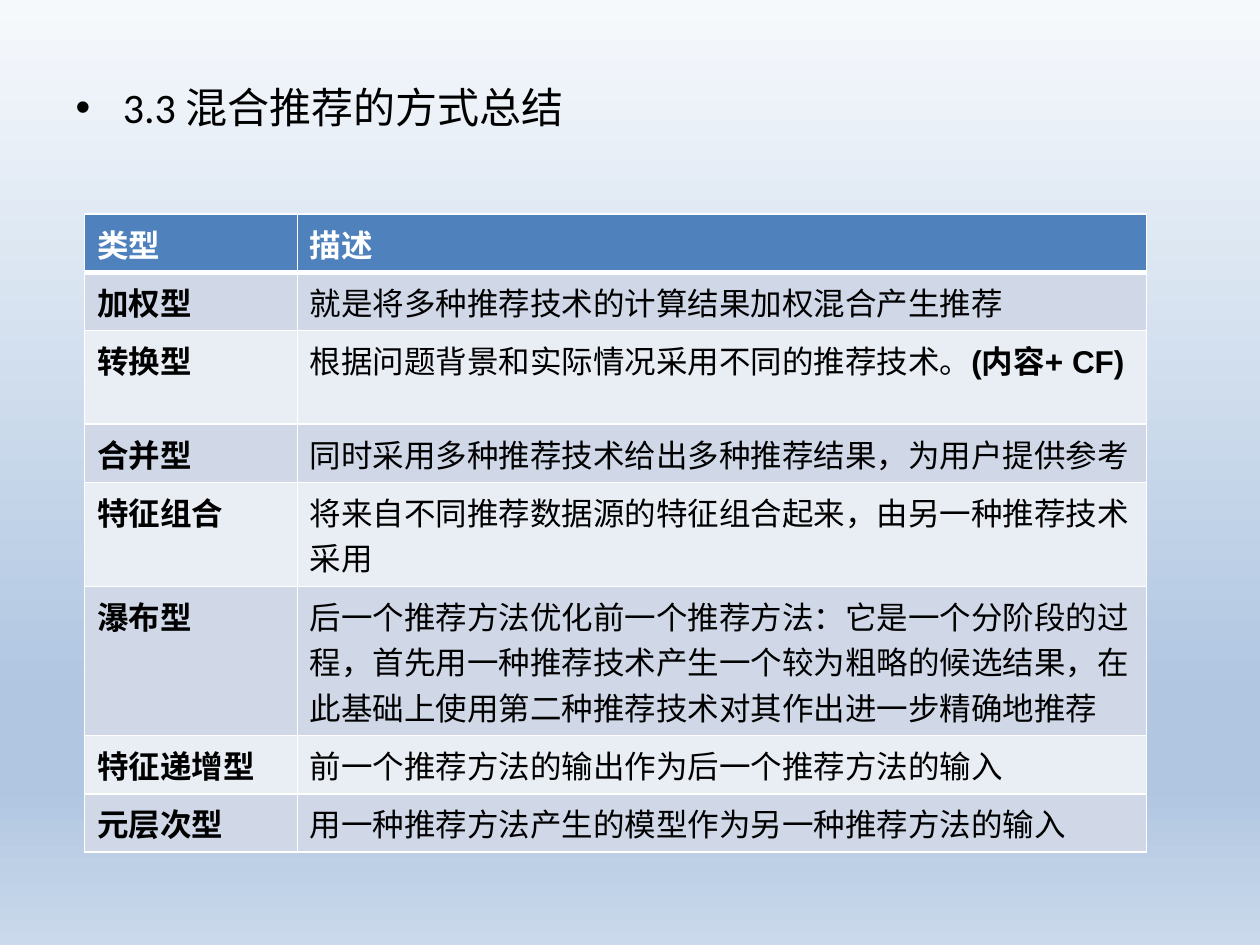
"""Build the slide that sums up the ways of hybrid recommendation."""
import pptx
import pptx.dml.color
import pptx.oxml
import pptx.oxml.ns
import pptx.util

Inches = pptx.util.Inches
Pt = pptx.util.Pt
RGBColor = pptx.dml.color.RGBColor

BLACK = RGBColor(0x00, 0x00, 0x00)
WHITE = RGBColor(0xFF, 0xFF, 0xFF)
HEADER_BLUE = RGBColor(0x4F, 0x81, 0xBD)
BAND_DARK = RGBColor(0xD0, 0xD8, 0xE8)
BAND_LIGHT = RGBColor(0xE9, 0xED, 0xF4)
SKY_TOP = RGBColor(0xF6, 0xF9, 0xFC)
SKY_MIDDLE = RGBColor(0xB0, 0xC6, 0xE1)
SKY_BOTTOM = RGBColor(0xCA, 0xD9, 0xEB)

BACKGROUND_STOPS = [(0, SKY_TOP), (74, SKY_MIDDLE), (83, SKY_MIDDLE), (100, SKY_BOTTOM)]
HEADING = "3.3 混合推荐的方式总结"
COLUMN_WIDTHS = [1.69, 6.74]
ROWS = [
    (0.41, "类型", "描述", ""),
    (0.41, "加权型", "就是将多种推荐技术的计算结果加权混合产生推荐", ""),
    (0.36, "转换型", "根据问题背景和实际情况采用不同的推荐技术。", "(内容+ CF)"),
    (0.44, "合并型", "同时采用多种推荐技术给出多种推荐结果，为用户提供参考", ""),
    (0.70, "特征组合", "将来自不同推荐数据源的特征组合起来，由另一种推荐技术采用", ""),
    (1.03, "瀑布型", "后一个推荐方法优化前一个推荐方法：它是一个分阶段的过程，"
     "首先用一种推荐技术产生一个较为粗略的候选结果，"
     "在此基础上使用第二种推荐技术对其作出进一步精确地推荐", ""),
    (0.41, "特征递增型", "前一个推荐方法的输出作为后一个推荐方法的输入", ""),
    (0.41, "元层次型", "用一种推荐方法产生的模型作为另一种推荐方法的输入", ""),
]


def paint_background(slide):
    fill = slide.background.fill
    fill.gradient()
    fill.gradient_angle = 270
    stop_list = next(slide.element.iter(pptx.oxml.ns.qn("a:gsLst")))
    for stop in list(stop_list):
        stop_list.remove(stop)
    for position, color in BACKGROUND_STOPS:
        stop_list.append(pptx.oxml.parse_xml(
            f'<a:gs {pptx.oxml.ns.nsdecls("a")} pos="{position * 1000}">'
            f'<a:srgbClr val="{color}"/></a:gs>'))


def format_run(run, size, font_name, color, bold=False):
    run.font.size = Pt(size)
    run.font.name = font_name
    run.font.color.rgb = color
    run.font.bold = bold


def set_borders(cell, top, bottom):
    properties = cell._tc.get_or_add_tcPr()
    widths = {"lnL": 1, "lnR": 1, "lnT": top, "lnB": bottom}
    for index, (tag, width) in enumerate(widths.items()):
        properties.insert(index, pptx.oxml.parse_xml(
            f'<a:{tag} {pptx.oxml.ns.nsdecls("a")} w="{Pt(width)}">'
            f'<a:solidFill><a:srgbClr val="{WHITE}"/></a:solidFill></a:{tag}>'))


def add_heading(slide):
    slide.shapes.title.element.getparent().remove(slide.shapes.title.element)
    body = slide.placeholders[1]
    body.left, body.top, body.width, body.height = map(Inches, (0.5, 0.6, 9, 6.1))
    body.text_frame.text = HEADING
    format_run(body.text_frame.paragraphs[0].runs[0], 24, "Calibri", BLACK)


def add_summary_table(slide):
    table = slide.shapes.add_table(
        len(ROWS), len(COLUMN_WIDTHS), Inches(0.67), Inches(1.7),
        Inches(sum(COLUMN_WIDTHS)), Inches(sum(row[0] for row in ROWS))).table
    for column, width in zip(table.columns, COLUMN_WIDTHS):
        column.width = Inches(width)
    for index, (height, kind, description, example) in enumerate(ROWS):
        table.rows[index].height = Inches(height)
        is_header = index == 0
        fill_color = HEADER_BLUE if is_header else (BAND_LIGHT, BAND_DARK)[index % 2]
        cell_runs = [[(kind, True)], [(description, is_header), (example, True)]]
        for cell, runs in zip(table.rows[index].cells, cell_runs):
            cell.fill.solid()
            cell.fill.fore_color.rgb = fill_color
            set_borders(cell, 3 if index == 1 else 1, 3 if is_header else 1)
            paragraph = cell.text_frame.paragraphs[0]
            for text, bold in runs:
                if text:
                    run = paragraph.add_run()
                    run.text = text
                    format_run(run, 18, "Arial", WHITE if is_header else BLACK, bold)


def main():
    presentation = pptx.Presentation()
    presentation.slide_width = Inches(10)
    presentation.slide_height = Inches(7.5)
    slide = presentation.slides.add_slide(presentation.slide_layouts[1])
    paint_background(slide)
    add_heading(slide)
    add_summary_table(slide)
    presentation.save("out.pptx")


if __name__ == "__main__":
    main()
